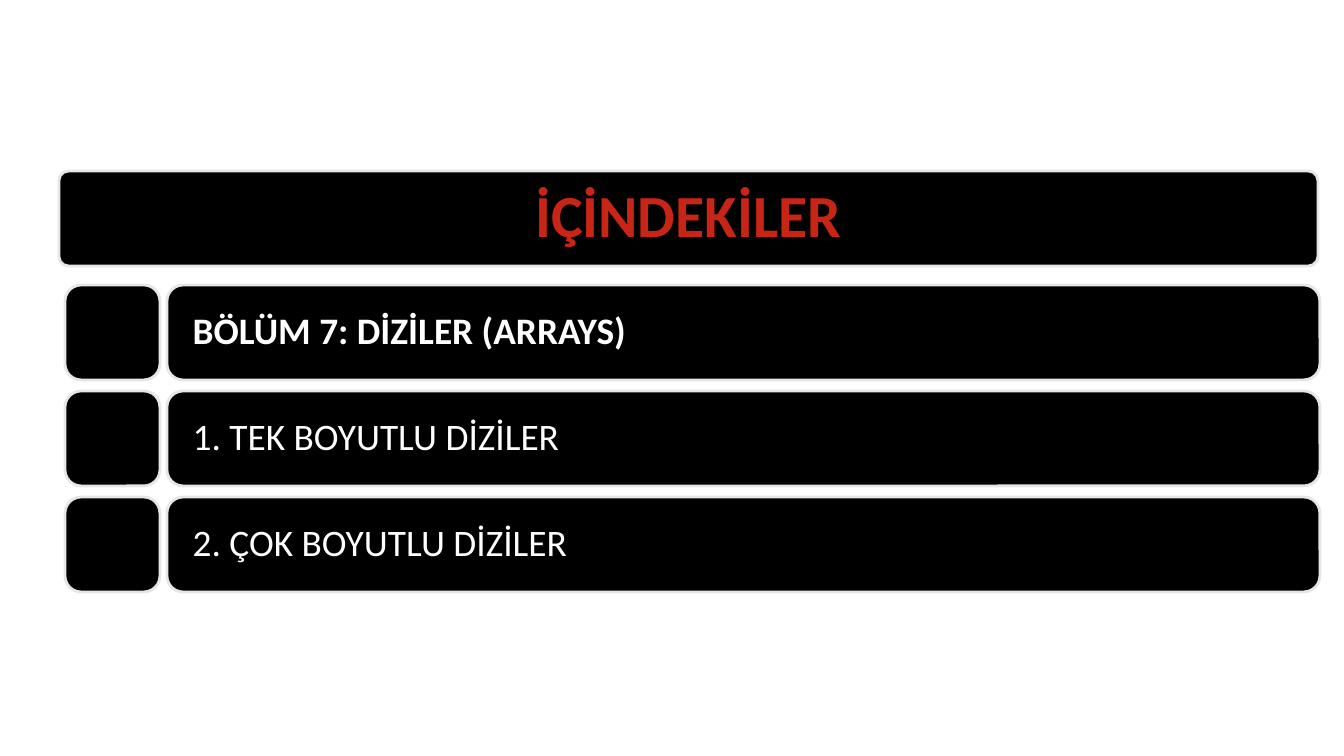
from dataclasses import dataclass

from pptx import Presentation
from pptx.dml.color import RGBColor
from pptx.enum.shapes import MSO_SHAPE
from pptx.enum.text import MSO_ANCHOR, PP_ALIGN
from pptx.util import Inches, Pt

EMU_PER_PX = Inches(10) / 1344


@dataclass(frozen=True)
class Theme:
    font: str = "Calibri"
    panel: RGBColor = RGBColor(0x00, 0x00, 0x00)
    border: RGBColor = RGBColor(0xE7, 0xE6, 0xE6)
    heading: RGBColor = RGBColor(0xC8, 0x25, 0x17)
    entry: RGBColor = RGBColor(0xFF, 0xFF, 0xFF)
    heading_size: int = 32
    entry_size: int = 20
    border_width: float = 1.5


THEME = Theme()
ROW_HEIGHT = 95
ROW_PITCH = 106
FIRST_ROW_TOP = 285
ENTRIES = [
    ("BÖLÜM 7: DİZİLER (ARRAYS)", True),
    ("1. TEK BOYUTLU DİZİLER", False),
    ("2. ÇOK BOYUTLU DİZİLER", False),
]


def px(length):
    return round(length * EMU_PER_PX)


def add_panel(slide, left, top, width, rounding):
    panel = slide.shapes.add_shape(
        MSO_SHAPE.ROUNDED_RECTANGLE, px(left), px(top), px(width), px(ROW_HEIGHT)
    )
    panel.adjustments[0] = rounding
    panel.shadow.inherit = False
    panel.fill.solid()
    panel.fill.fore_color.rgb = THEME.panel
    panel.line.color.rgb = THEME.border
    panel.line.width = Pt(THEME.border_width)
    return panel


def write_label(panel, wording, size, color, bold, align, inset_x, inset_y):
    frame = panel.text_frame
    frame.word_wrap = True
    frame.vertical_anchor = MSO_ANCHOR.MIDDLE
    frame.margin_left = frame.margin_right = px(inset_x)
    frame.margin_top = frame.margin_bottom = px(inset_y)
    frame.text = wording
    paragraph = frame.paragraphs[0]
    paragraph.alignment = align
    paragraph.line_spacing = 0.9
    font = paragraph.runs[0].font
    font.name = THEME.font
    font.size = Pt(size)
    font.bold = bold
    font.color.rgb = color


def add_heading(slide, wording):
    banner = add_panel(slide, 59, 171, 1259, 0.1)
    write_label(banner, wording, THEME.heading_size, THEME.heading, True,
                PP_ALIGN.CENTER, 9, 5)


def add_entry(slide, top, wording, bold):
    add_panel(slide, 65, top, ROW_HEIGHT, 0.17)
    bar = add_panel(slide, 167, top, 1153, 0.17)
    write_label(bar, wording, THEME.entry_size, THEME.entry, bold,
                PP_ALIGN.LEFT, 21, 21)


def main():
    deck = Presentation()
    deck.slide_width = px(1344)
    deck.slide_height = px(756)
    slide = deck.slides.add_slide(deck.slide_layouts[6])
    add_heading(slide, "İÇİNDEKİLER")
    for row, (wording, bold) in enumerate(ENTRIES):
        add_entry(slide, FIRST_ROW_TOP + row * ROW_PITCH, wording, bold)
    deck.save("out.pptx")


if __name__ == "__main__":
    main()
